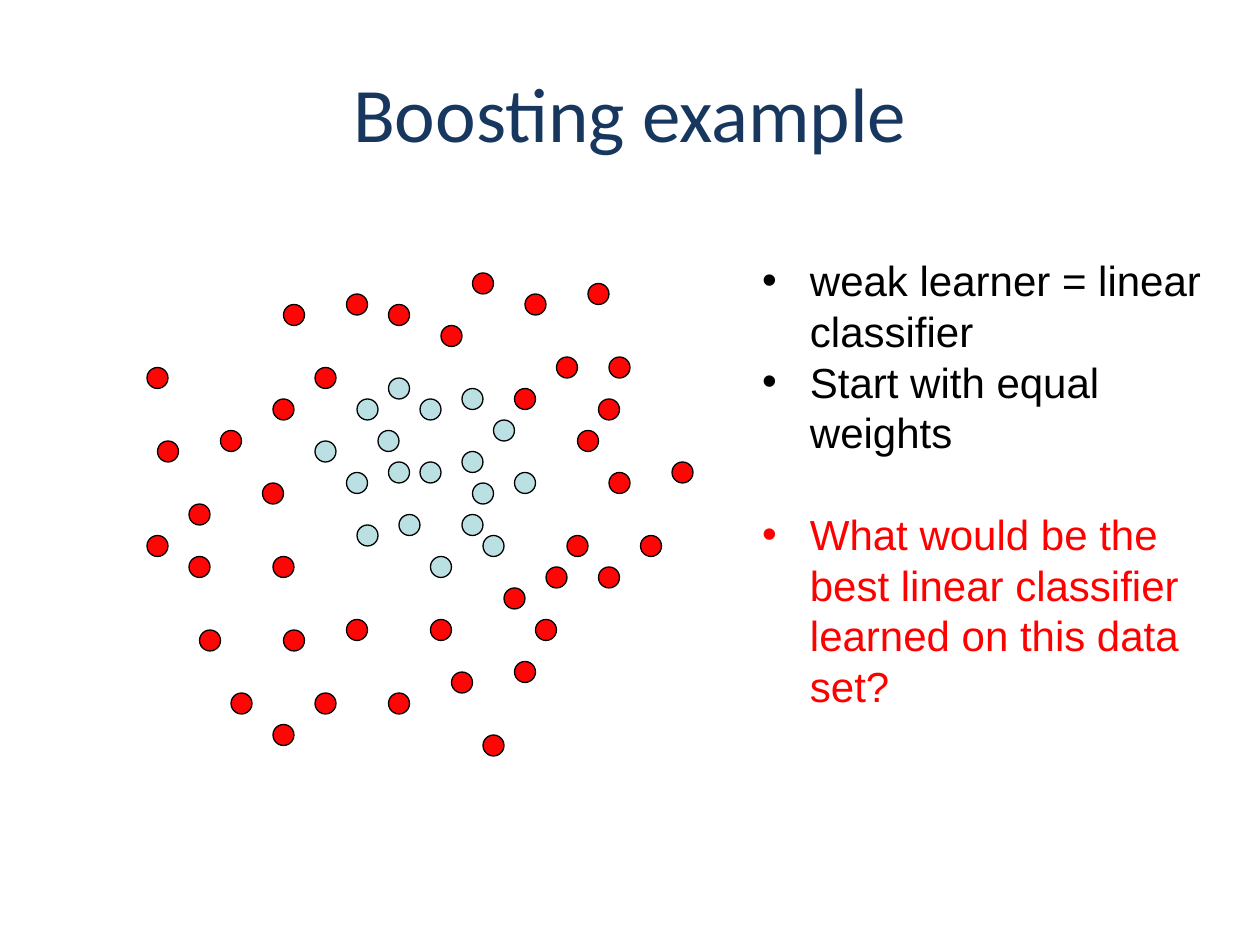
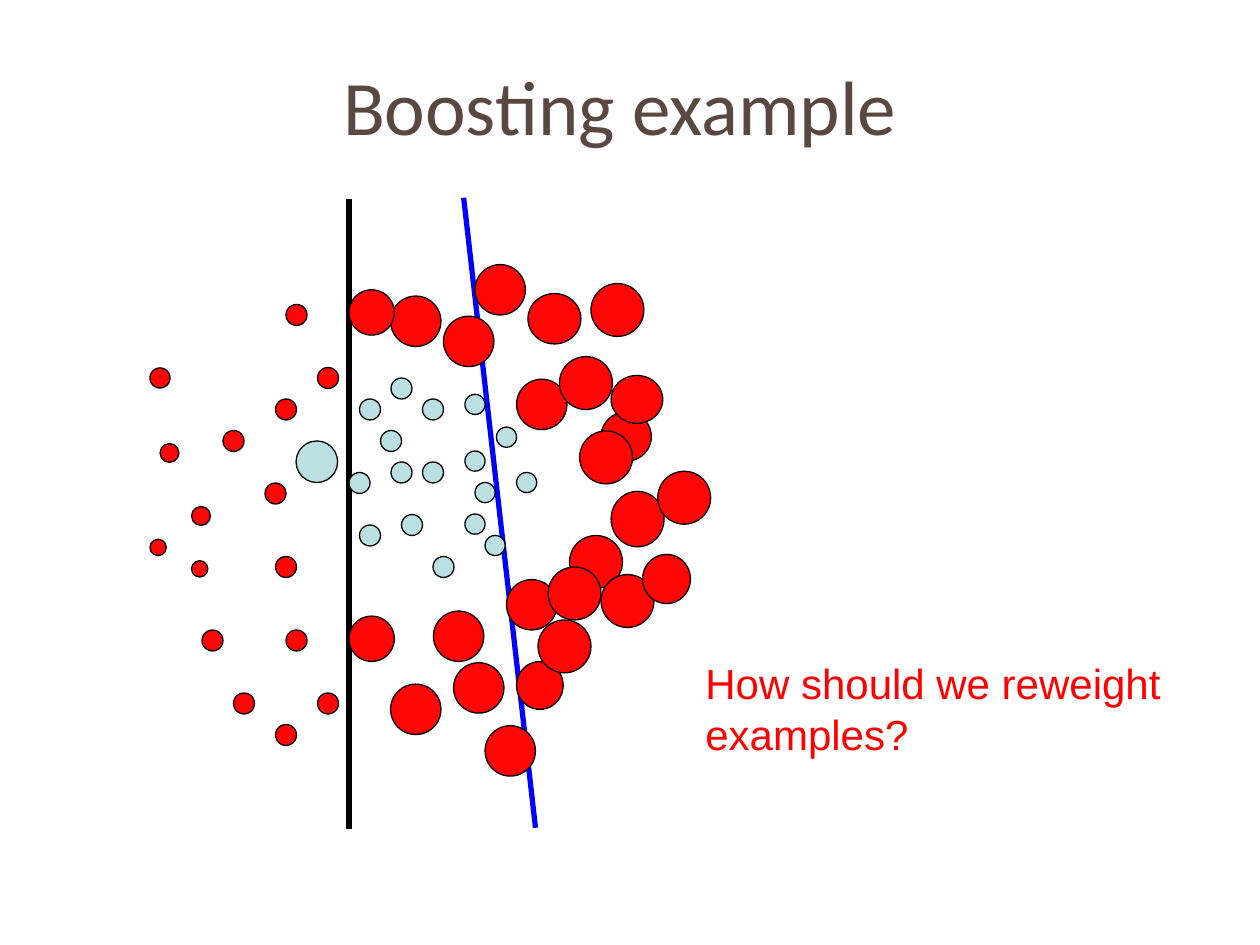
import pptx
import pptx.dml.color
import pptx.enum.shapes
import pptx.enum.text
import pptx.oxml.ns
import pptx.util
from dataclasses import dataclass
from lxml import etree

Inches, Pt = pptx.util.Inches, pptx.util.Pt
RGB = pptx.dml.color.RGBColor.from_string


# Theme
@dataclass(frozen=True)
class Theme:
    black: str = "000000"
    navy: str = "17375E"
    brown: str = "594740"
    pale: str = "BBE0E3"
    red: str = "FE0606"
    blue: str = "0000FF"
    ask: str = "FF0000"
    head: str = "Calibri"
    body: str = "Arial"
    big: int = 44
    mid: int = 24
    lead: int = 29
    thin: float = 0.75
    thick: int = 3


T = Theme()

# Content: dots of each class as (column, row) on a grid of 1/12 inch
TITLE = "Boosting example"
CELL = 1 / 12
DOTS = {
    T.pale: [
        (40, 38), (44, 37), (47, 40), (37, 44), (44, 49), (49, 45),
        (34, 50), (40, 44), (44, 43), (45, 46), (38, 49), (33, 45),
        (34, 38), (41, 53), (36, 41), (46, 51), (30, 42), (37, 36)],
    T.red: [
        (58, 45), (57, 38), (54, 51), (57, 54), (64, 44), (61, 51),
        (15, 42), (14, 35), (14, 51), (21, 41), (18, 48), (27, 60),
        (26, 53), (26, 69), (33, 59), (30, 66), (43, 64), (41, 59),
        (37, 66), (49, 63), (46, 70), (27, 29), (37, 29), (26, 38),
        (33, 28), (30, 35), (50, 28), (42, 31), (49, 37), (56, 27),
        (53, 34), (19, 60), (18, 53), (25, 46), (22, 66), (45, 26),
        (58, 34), (55, 41), (48, 56), (51, 59), (52, 54)],
}

# Dots with a new weight: left, top, width, height
WEIGHTS = {
    (44, 37): (3.69, 3.13, .16, .16), (47, 40): (3.94, 3.39, .16, .16),
    (44, 49): (3.69, 4.08, .16, .16), (49, 45): (4.1, 3.75, .16, .16),
    (44, 43): (3.69, 3.58, .16, .16), (45, 46): (3.77, 3.83, .16, .16),
    (46, 51): (3.85, 4.25, .16, .16), (30, 42): (2.35, 3.5, .33, .33),
    (58, 45): (4.85, 3.9, .42, .44), (57, 38): (4.77, 3.27, .4, .39),
    (54, 51): (4.52, 4.25, .42, .42), (57, 54): (4.77, 4.56, .42, .42),
    (64, 44): (5.22, 3.74, .42, .42), (61, 51): (5.1, 4.4, .38, .39),
    (15, 42): (1.27, 3.52, .15, .15), (14, 35): (1.19, 2.92, .16, .16),
    (14, 51): (1.19, 4.28, .13, .13), (18, 48): (1.52, 4.02, .15, .15),
    (33, 59): (2.77, 4.89, .36, .36), (43, 64): (3.6, 5.26, .4, .4),
    (41, 59): (3.44, 4.85, .4, .4), (37, 66): (3.1, 5.43, .4, .4),
    (49, 63): (4.1, 5.25, .37, .38), (46, 70): (3.85, 5.76, .4, .4),
    (37, 29): (3.1, 2.35, .4, .4), (33, 28): (2.77, 2.3, .36, .36),
    (50, 28): (4.19, 2.33, .42, .4), (42, 31): (3.52, 2.51, .4, .4),
    (49, 37): (4.1, 3.01, .4, .4), (56, 27): (4.69, 2.25, .42, .42),
    (53, 34): (4.44, 2.83, .42, .42), (18, 53): (1.52, 4.45, .13, .13),
    (45, 26): (3.77, 2.1, .4, .4), (58, 34): (4.85, 2.98, .41, .38),
    (55, 41): (4.6, 3.42, .42, .42), (48, 56): (4.02, 4.6, .4, .4),
    (51, 59): (4.27, 4.92, .42, .42), (52, 54): (4.35, 4.5, .42, .42),
}

# Splits: start, end, colour
SPLITS = [
    ((2.77, 1.58), (2.77, 6.58), T.black),
    ((3.68, 1.57), (4.25, 6.57), T.blue),
]

# Notes: text, colour, space before in points
STEPS = [
    ("weak learner = linear classifier", T.black, 0),
    ("Start with equal weights", T.black, 0),
    ("What would be the best linear classifier learned on this data set?",
     T.ask, T.lead),
]
QUERY = [("How should we reweight examples?", T.ask, 0)]


# Helpers
def add_run(para, text, face, size, color):
    run = para.add_run()
    run.text = text
    run.font.name, run.font.size = face, Pt(size)
    run.font.color.rgb = RGB(color)


def add_page(deck, left, top, color):
    page = deck.slides.add_slide(deck.slide_layouts[5])
    title = page.shapes.title
    title.left, title.top = Inches(left), Inches(top)
    title.width, title.height = Inches(9), Inches(1.25)
    title.text_frame.vertical_anchor = pptx.enum.text.MSO_ANCHOR.MIDDLE
    para = title.text_frame.paragraphs[0]
    para.alignment = pptx.enum.text.PP_ALIGN.CENTER
    para.line_spacing = 0.93
    add_run(para, TITLE, T.head, T.big, color)
    return page


def add_dots(page, shift=0, weights=None):
    for color, cells in DOTS.items():
        for col, row in cells:
            plain = (col * CELL + shift, row * CELL, 2 * CELL, 2 * CELL)
            place = (weights or {}).get((col, row), plain)
            dot = page.shapes.add_shape(
                pptx.enum.shapes.MSO_SHAPE.OVAL, *map(Inches, place))
            dot.shadow.inherit = False
            dot.fill.solid()
            dot.fill.fore_color.rgb = RGB(color)
            dot.line.color.rgb = RGB(T.black)
            dot.line.width = Pt(T.thin)


def add_split(page, start, end, color):
    line = page.shapes.add_connector(
        pptx.enum.shapes.MSO_CONNECTOR.STRAIGHT,
        *map(Inches, start + end))
    line.line.color.rgb = RGB(color)
    line.line.width = Pt(T.thick)
    etree.SubElement(line._element.spPr, pptx.oxml.ns.qn("a:effectLst"))


def add_bullet(para):
    props = para._p.get_or_add_pPr()
    props.set("marL", str(Inches(0.38)))
    props.set("indent", str(-Inches(0.38)))
    for tag, key, value in (("a:buFont", "typeface", T.body),
                            ("a:buChar", "char", "•")):
        etree.SubElement(props, pptx.oxml.ns.qn(tag)).set(key, value)


def add_notes(page, place, notes, bullets=False):
    frame = page.shapes.add_textbox(*map(Inches, place)).text_frame
    frame.word_wrap = True
    frame.auto_size = pptx.enum.text.MSO_AUTO_SIZE.SHAPE_TO_FIT_TEXT
    for index, (text, color, gap) in enumerate(notes):
        para = frame.add_paragraph() if index else frame.paragraphs[0]
        if bullets:
            add_bullet(para)
        para.line_spacing = Pt(T.lead)
        if gap:
            para.space_before = Pt(gap)
        add_run(para, text, T.body, T.mid, color)


def main():
    deck = pptx.Presentation()
    deck.slide_width, deck.slide_height = Inches(10), Inches(7.5)

    # Slide 1: equal weights
    page = add_page(deck, 0.5, 0.3, T.navy)
    add_dots(page)
    add_notes(page, (5.95, 1.97, 4.03, 3.74), STEPS, bullets=True)

    # Slide 2: splits and new weights
    page = add_page(deck, 0.42, 0.25, T.brown)
    for split in SPLITS:
        add_split(page, *split)
    add_dots(page, 0.02, WEIGHTS)
    add_notes(page, (5.5, 5.17, 4.17, 0.91), QUERY)

    deck.save("out.pptx")


if __name__ == "__main__":
    main()
